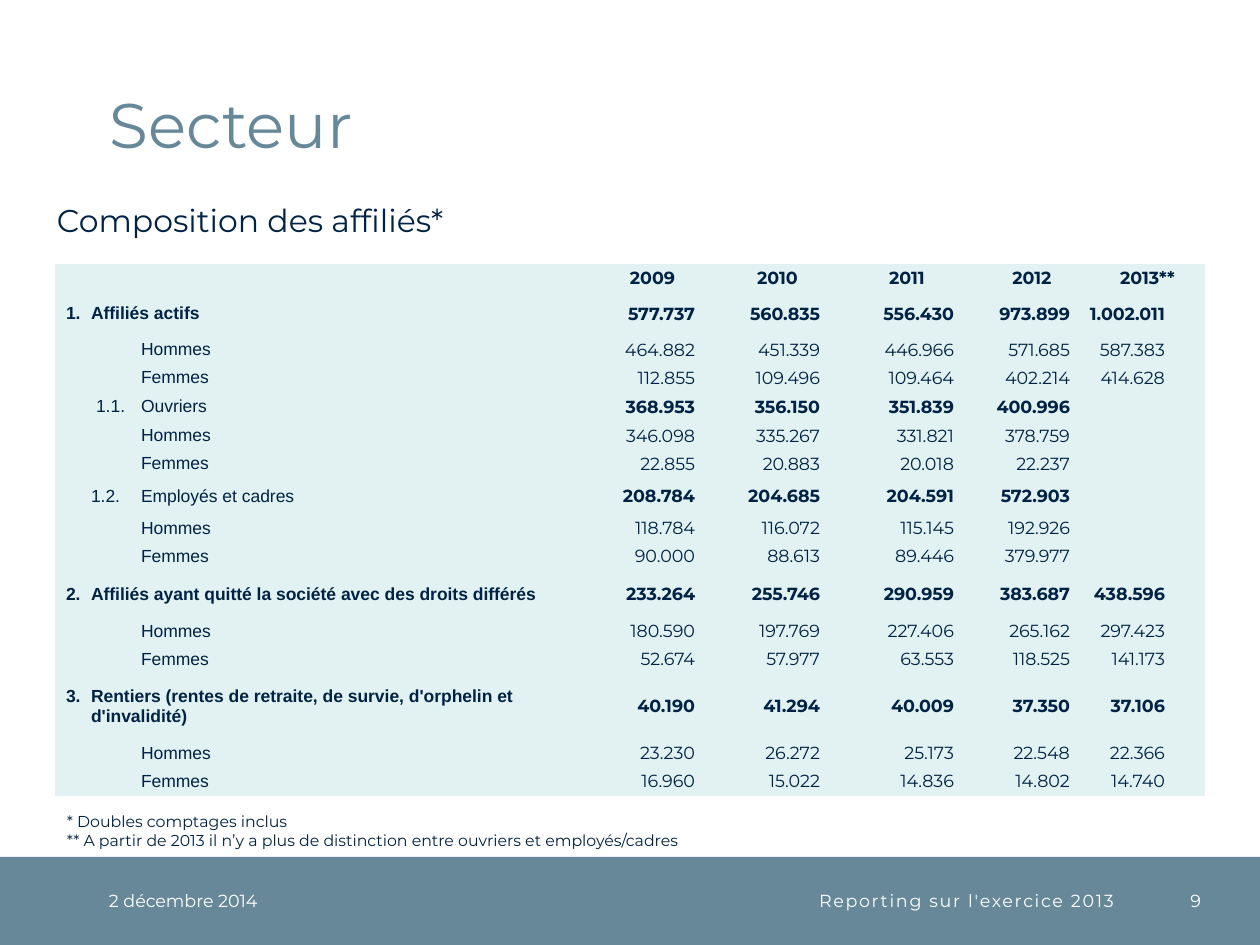
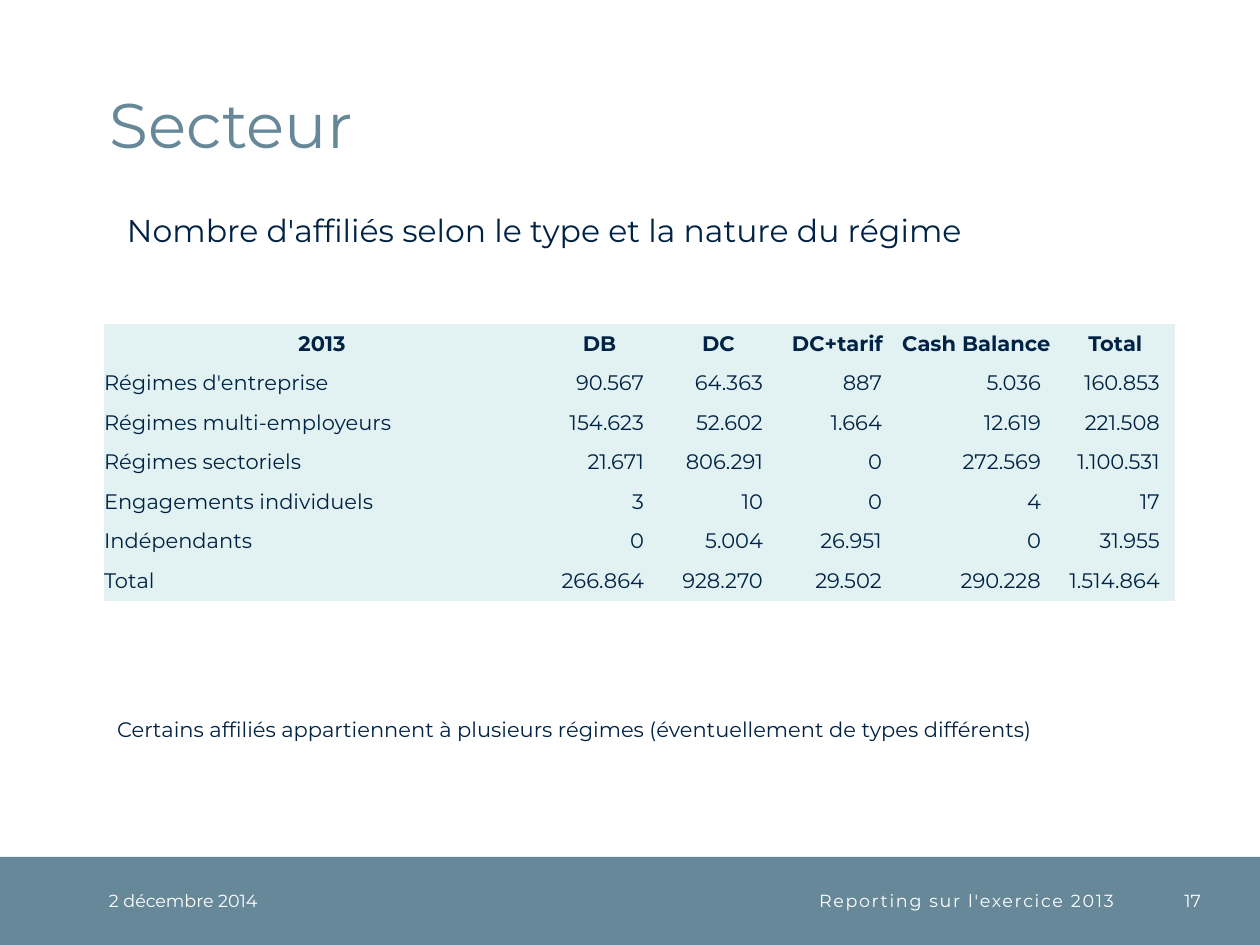
from pptx import Presentation
from pptx.dml.color import RGBColor
from pptx.enum.shapes import MSO_SHAPE
from pptx.enum.text import MSO_ANCHOR, PP_ALIGN
from pptx.util import Pt

SLATE = RGBColor(0x66, 0x88, 0x99)
NAVY = RGBColor(0x00, 0x22, 0x44)
MINT = RGBColor(0xE2, 0xF2, 0xF2)
WHITE = RGBColor(0xFF, 0xFF, 0xFF)

LEFT, CENTER, RIGHT = PP_ALIGN.LEFT, PP_ALIGN.CENTER, PP_ALIGN.RIGHT
TOP, MIDDLE, BOTTOM = MSO_ANCHOR.TOP, MSO_ANCHOR.MIDDLE, MSO_ANCHOR.BOTTOM
RECTANGLE = MSO_SHAPE.RECTANGLE

BODY_FONT = "Montserrat"
LABEL_FONT = "Arial"
PLAIN_TABLE_STYLE = "{2D5ABB26-0587-4C30-8999-92F81FD0307C}"
SCALE = 914400 / 126
WIDTH, HEIGHT = 1260, 945
BAND_TOP, BAND_HEIGHT = 857, 88

TITLE = "Secteur"
DATE = "2 décembre 2014"
REPORT = "Reporting sur l'exercice 2013"

MEMBER_YEARS = ["2009", "2010", "2011", "2012", "2013**"]
MEMBER_ROWS = [
    ("main", 44, "1.\tAffiliés actifs", "577.737 560.835 556.430 973.899 1.002.011"),
    ("detail", 28, "Hommes", "464.882 451.339 446.966 571.685 587.383"),
    ("detail", 28, "Femmes", "112.855 109.496 109.464 402.214 414.628"),
    ("workers", 30, "1.1.\tOuvriers", "368.953 356.150 351.839 400.996"),
    ("detail", 28, "Hommes", "346.098 335.267 331.821 378.759"),
    ("detail", 28, "Femmes", "22.855 20.883 20.018 22.237"),
    ("employees", 37, "1.2.\tEmployés et cadres", "208.784 204.685 204.591 572.903"),
    ("detail", 28, "Hommes", "118.784 116.072 115.145 192.926"),
    ("detail", 28, "Femmes", "90.000 88.613 89.446 379.977"),
    ("main", 47, "2.\tAffiliés ayant quitté la société avec des droits différés",
     "233.264 255.746 290.959 383.687 438.596"),
    ("detail", 28, "Hommes", "180.590 197.769 227.406 265.162 297.423"),
    ("detail", 28, "Femmes", "52.674 57.977 63.553 118.525 141.173"),
    ("main", 66, "3.\tRentiers (rentes de retraite, de survie, d'orphelin et d'invalidité)",
     "40.190 41.294 40.009 37.350 37.106"),
    ("detail", 28, "Hommes", "23.230 26.272 25.173 22.548 22.366"),
    ("detail", 28, "Femmes", "16.960 15.022 14.836 14.802 14.740"),
]
MEMBER_COLUMNS = [535, 125, 125, 134, 116, 115]
MEMBER_HEADER_HEIGHT = 28
LABEL_INDENTS = {
    "main": (36, -25),
    "workers": (86, -45),
    "employees": (86, -50),
    "detail": (86, 0),
}
MEMBER_NOTES = [
    "* Doubles comptages inclus",
    "** A partir de 2013 il n’y a plus de distinction entre ouvriers et employés/cadres",
]

PLAN_HEADER = ["2013", "DB", "DC", "DC+tarif", "Cash Balance", "Total"]
PLAN_ROWS = [
    ("Régimes d'entreprise", "90.567 64.363 887 5.036 160.853"),
    ("Régimes multi-employeurs", "154.623 52.602 1.664 12.619 221.508"),
    ("Régimes sectoriels", "21.671 806.291 0 272.569 1.100.531"),
    ("Engagements individuels", "3 10 0 4 17"),
    ("Indépendants", "0 5.004 26.951 0 31.955"),
    ("Total", "266.864 928.270 29.502 290.228 1.514.864"),
]
PLAN_COLUMNS = [436, 119, 119, 119, 159, 119]
PLAN_HEIGHT = 277


def px(length):
    return round(length * SCALE)


def style(para, size, color=NAVY, align=LEFT, bold=False, font=BODY_FONT):
    para.alignment = align
    para.font.size = Pt(size)
    para.font.name = font
    para.font.bold = bold
    para.font.color.rgb = color


def add_text(page, area, lines, size, color=NAVY, align=LEFT, anchor=TOP, inset=(13, 6)):
    box = page.shapes.add_textbox(*map(px, area))
    frame = box.text_frame
    frame.word_wrap = True
    frame.vertical_anchor = anchor
    frame.margin_left = frame.margin_right = px(inset[0])
    frame.margin_top = frame.margin_bottom = px(inset[1])
    for index, line in enumerate(lines):
        para = frame.add_paragraph() if index else frame.paragraphs[0]
        para.add_run().text = line
        style(para, size, color, align)
    return frame.paragraphs[0]


def add_page(deck, number):
    page = deck.slides.add_slide(deck.slide_layouts[6])
    band = page.shapes.add_shape(RECTANGLE, 0, px(BAND_TOP), px(WIDTH), px(BAND_HEIGHT))
    band.shadow.inherit = False
    band.fill.solid()
    band.fill.fore_color.rgb = SLATE
    band.line.fill.background()

    title = add_text(page, (110, 25, 1087, 136), [TITLE], 36, SLATE, anchor=BOTTOM, inset=(0, 0))
    title.line_spacing = Pt(32)

    footers = [(109, 223, DATE, LEFT), (333, 781, REPORT, RIGHT), (1139, 62, number, RIGHT)]
    for left, width, text, align in footers:
        footer = add_text(page, (left, BAND_TOP, width, BAND_HEIGHT), [text], 10, WHITE,
                          align, MIDDLE, (0, 0))
        if text == REPORT:
            footer.runs[0]._r.get_or_add_rPr().set("spc", "100")
    return page


def add_grid(page, left, top, columns, rows):
    frame = page.shapes.add_table(len(rows), len(columns), px(left), px(top),
                                  px(sum(columns)), px(sum(rows)))
    table = frame.table
    table.first_row = table.horz_banding = False
    table._tbl.tblPr[0].text = PLAIN_TABLE_STYLE
    for column, width in zip(table.columns, columns):
        column.width = px(width)
    for row, height in zip(table.rows, rows):
        row.height = px(height)
    return table


def fill_cell(cell, text, size, align=RIGHT, bold=False, right=0, font=BODY_FONT):
    cell.fill.solid()
    cell.fill.fore_color.rgb = MINT
    cell.vertical_anchor = MIDDLE
    cell.margin_left = cell.margin_top = cell.margin_bottom = 0
    cell.margin_right = px(right)
    para = cell.text_frame.paragraphs[0]
    if text:
        para.add_run().text = text
    else:
        para._p.get_or_add_endParaRPr().set("sz", str(size * 100))
    style(para, size, align=align, bold=bold, font=font)
    return para


def fill_header(table, names, size):
    for column, name in enumerate(names):
        fill_cell(table.cell(0, column), name, size, CENTER, True)


def build_members(deck):
    page = add_page(deck, "9")
    add_text(page, (44, 195, 466, 50), ["Composition des affiliés*"], 18)
    heights = [MEMBER_HEADER_HEIGHT] + [row[1] for row in MEMBER_ROWS]
    table = add_grid(page, 55, 264, MEMBER_COLUMNS, heights)
    fill_header(table, [""] + MEMBER_YEARS, 10)
    for row, (level, _, label, figures) in enumerate(MEMBER_ROWS, 1):
        para = fill_cell(table.cell(row, 0), label, 10, LEFT, level == "main", font=LABEL_FONT)
        margin, indent = LABEL_INDENTS[level]
        properties = para._p.get_or_add_pPr()
        properties.set("marL", str(px(margin)))
        properties.set("indent", str(px(indent)))
        values = figures.split()
        values += [""] * (len(MEMBER_YEARS) - len(values))
        for column, value in enumerate(values, 1):
            right = 40 if column == len(MEMBER_YEARS) else 20
            fill_cell(table.cell(row, column), value, 10, bold=level != "detail", right=right)
    add_text(page, (54, 806, 1160, 50), MEMBER_NOTES, 9)


def build_plans(deck):
    page = add_page(deck, "17")
    add_text(page, (114, 205, 1062, 50),
             ["Nombre d'affiliés selon le type et la nature du régime"], 18)
    add_text(page, (104, 711, 1101, 38),
             ["Certains affiliés appartiennent à plusieurs régimes (éventuellement de types différents)"],
             12)
    count = len(PLAN_ROWS) + 1
    table = add_grid(page, 104, 324, PLAN_COLUMNS, [PLAN_HEIGHT / count] * count)
    fill_header(table, PLAN_HEADER, 12)
    for row, (label, figures) in enumerate(PLAN_ROWS, 1):
        fill_cell(table.cell(row, 0), label, 12, LEFT)
        for column, value in enumerate(figures.split(), 1):
            fill_cell(table.cell(row, column), value, 12, right=15)


def main():
    deck = Presentation()
    deck.slide_width, deck.slide_height = px(WIDTH), px(HEIGHT)
    build_members(deck)
    build_plans(deck)
    deck.save("out.pptx")


if __name__ == "__main__":
    main()
